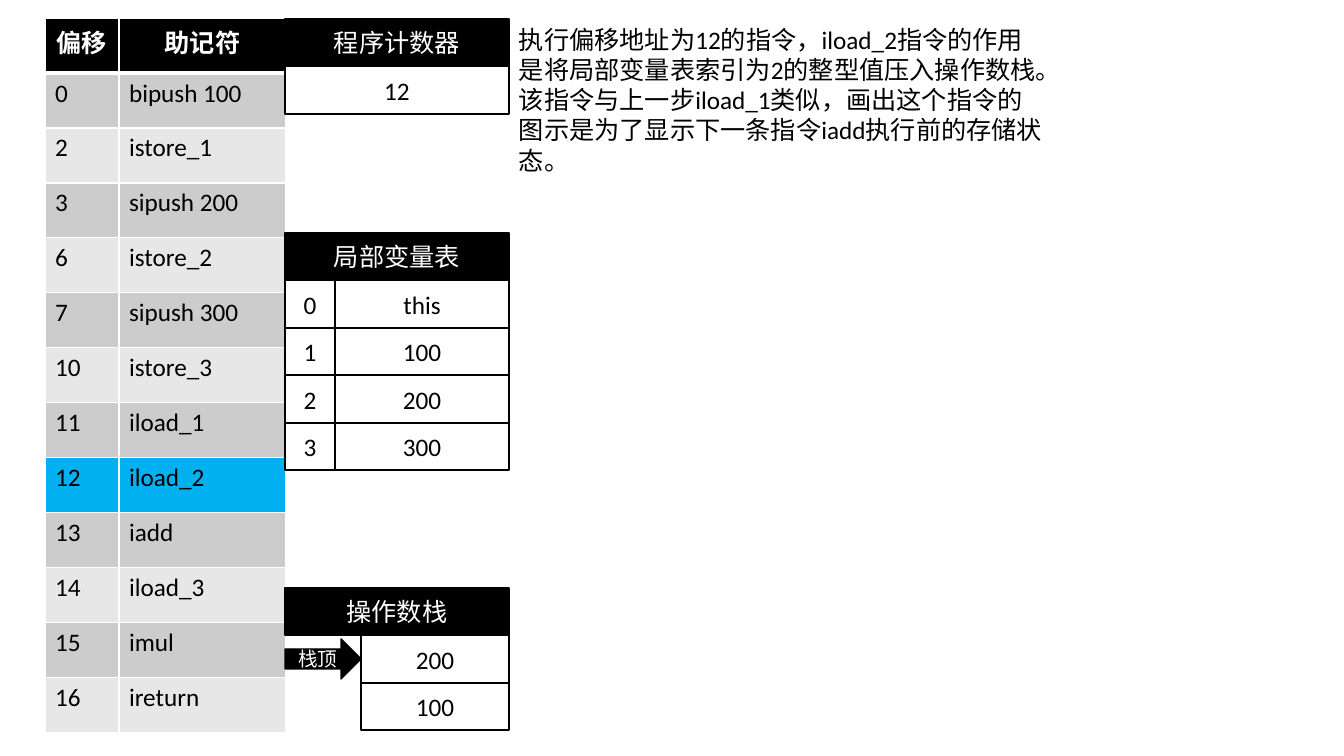
from lxml.etree import SubElement
from pptx import Presentation
from pptx.dml.color import RGBColor
from pptx.enum.shapes import MSO_SHAPE
from pptx.enum.text import MSO_ANCHOR, MSO_AUTO_SIZE, PP_ALIGN
from pptx.oxml.ns import qn
from pptx.util import Pt

EMU_PER_PIXEL = 914400 / 100.8
BLACK = RGBColor(0x00, 0x00, 0x00)
WHITE = RGBColor(0xFF, 0xFF, 0xFF)
DARK_BAND = RGBColor(0xCC, 0xCC, 0xCC)
LIGHT_BAND = RGBColor(0xE7, 0xE7, 0xE7)
CURRENT = RGBColor(0x00, 0xB0, 0xF0)

STACK_LEFT, STACK_RIGHT = 285, 509
INSTRUCTIONS = [
    ("0", "bipush 100"), ("2", "istore_1"), ("3", "sipush 200"),
    ("6", "istore_2"), ("7", "sipush 300"), ("10", "istore_3"),
    ("11", "iload_1"), ("12", "iload_2"), ("13", "iadd"),
    ("14", "iload_3"), ("15", "imul"), ("16", "ireturn"),
]
PROGRAM_COUNTER = "12"
EXPLANATION = (
    "执行偏移地址为12的指令，iload_2指令的作用是将局部变量表索引为2的整型值压入操作数栈。"
    "该指令与上一步iload_1类似，画出这个指令的图示是为了显示下一条指令iadd执行前的存储状态。"
)


def px(*lengths):
    return [round(length * EMU_PER_PIXEL) for length in lengths]


def write(frame, text, size=18, color=BLACK, bold=False, align=PP_ALIGN.LEFT,
          anchor=MSO_ANCHOR.TOP):
    frame.word_wrap = True
    frame.vertical_anchor = anchor
    paragraph = frame.paragraphs[0]
    paragraph.alignment = align
    run = paragraph.add_run()
    run.text = text
    run.font.name = "Calibri"
    run.font.size = Pt(size)
    run.font.bold = bold
    run.font.color.rgb = color


def set_borders(cell, **widths):
    properties = cell._tc.get_or_add_tcPr()
    for index, side in enumerate("LRTB"):
        border = properties.makeelement(
            qn(f"a:ln{side}"), {"w": str(Pt(widths.get(side, 1)))})
        fill = SubElement(border, qn("a:solidFill"))
        SubElement(fill, qn("a:srgbClr"), val=str(WHITE))
        properties.insert(index, border)


def add_instruction_table(slide):
    rows = [("偏移", "助记符")] + INSTRUCTIONS
    row_height, column_widths = 55, (74, 167)
    table = slide.shapes.add_table(
        len(rows), 2, *px(45, 18, sum(column_widths), row_height * len(rows))).table
    table.horz_banding = False
    for column, width in zip(table.columns, column_widths):
        column.width = px(width)[0]
    for r, texts in enumerate(rows):
        table.rows[r].height = px(row_height)[0]
        header = r == 0
        if header:
            background = BLACK
        elif texts[0] == PROGRAM_COUNTER:
            background = CURRENT
        else:
            background = DARK_BAND if r % 2 else LIGHT_BAND
        for c, text in enumerate(texts):
            cell = table.cell(r, c)
            cell.fill.solid()
            cell.fill.fore_color.rgb = background
            set_borders(cell, B=3 if header else 1, T=3 if r == 1 else 1)
            write(cell.text_frame, text, bold=header,
                  color=WHITE if header else BLACK,
                  align=PP_ALIGN.CENTER if header else PP_ALIGN.LEFT)


def add_box(group, text, left, top, right, bottom, dark=False, size=18,
            preset=MSO_SHAPE.RECTANGLE):
    box = group.shapes.add_shape(preset, *px(left, top, right - left, bottom - top))
    box.shadow.inherit = False
    box.fill.solid()
    box.fill.fore_color.rgb = BLACK if dark else WHITE
    box.line.color.rgb = BLACK
    box.line.width = Pt(1)
    write(box.text_frame, text, size=size, color=WHITE if dark else BLACK,
          align=PP_ALIGN.CENTER, anchor=MSO_ANCHOR.MIDDLE)


def add_memory_area(slide, title, top, values, value_left=STACK_LEFT, indexed=False):
    area = slide.shapes.add_group_shape()
    edges = [top + step * 95 // 2 for step in range(len(values) + 2)]
    add_box(area, title, STACK_LEFT, edges[0], STACK_RIGHT, edges[1], dark=True)
    for index, value in enumerate(values):
        upper, lower = edges[index + 1:index + 3]
        add_box(area, value, value_left, upper, STACK_RIGHT, lower)
        if indexed:
            add_box(area, str(index), STACK_LEFT, upper, value_left, lower)
    return area


def add_explanation(slide):
    explanation = slide.shapes.add_textbox(*px(509, 19, 546, 163))
    write(explanation.text_frame, EXPLANATION)
    explanation.text_frame.auto_size = MSO_AUTO_SIZE.SHAPE_TO_FIT_TEXT


def main():
    presentation = Presentation()
    presentation.slide_width, presentation.slide_height = px(1344, 756)
    slide = presentation.slides.add_slide(presentation.slide_layouts[6])
    add_instruction_table(slide)
    add_memory_area(slide, "局部变量表", 233, ["this", "100", "200", "300"],
                    value_left=335, indexed=True)
    add_memory_area(slide, "程序计数器", 19, [PROGRAM_COUNTER])
    operand_stack = add_memory_area(slide, "操作数栈", 588, ["200", "100"],
                                    value_left=361)
    add_box(operand_stack, "栈顶", STACK_LEFT, 639, 361, 679, dark=True, size=14,
            preset=MSO_SHAPE.RIGHT_ARROW)
    add_explanation(slide)
    presentation.save("out.pptx")


main()
